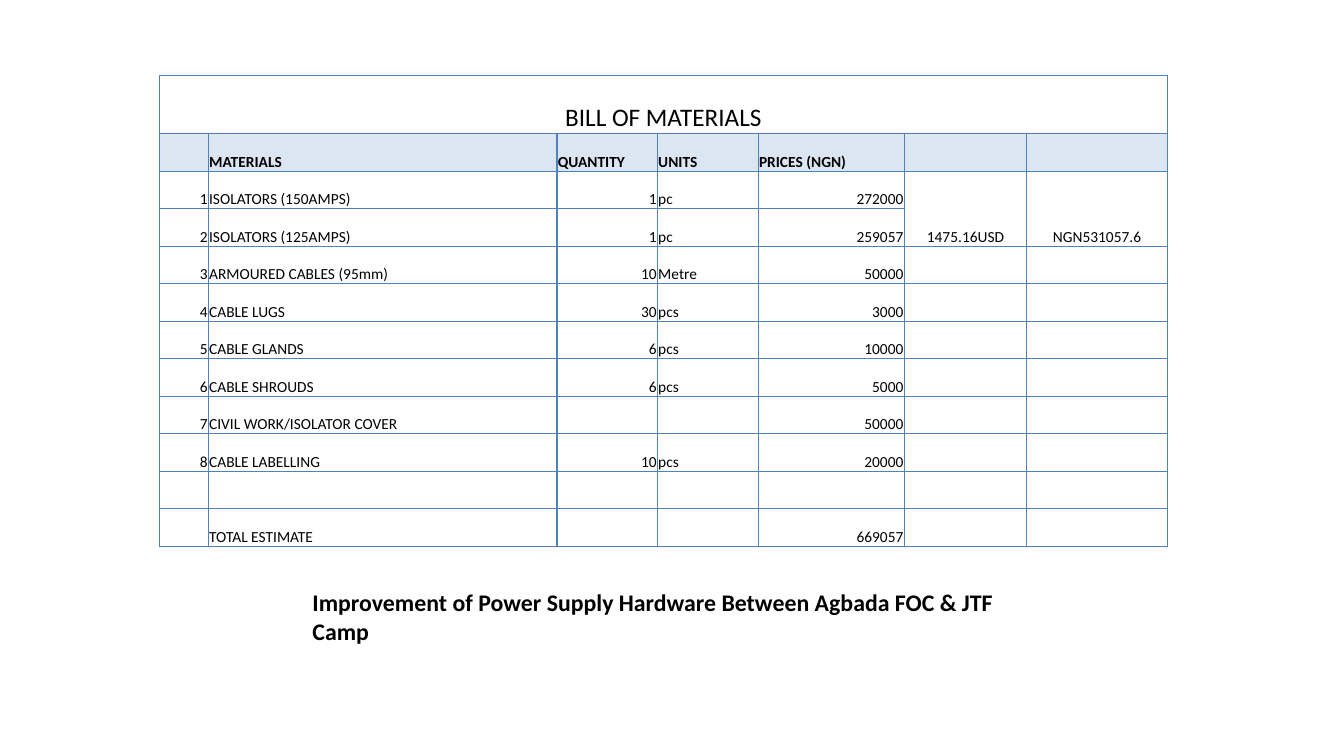
"""Build a bill of materials slide with a priced table and a title below it."""
from dataclasses import dataclass

from lxml.etree import SubElement as Sub
from pptx import Presentation
from pptx.dml.color import RGBColor as Rgb
from pptx.enum.text import MSO_ANCHOR as Anchor, MSO_AUTO_SIZE as Fit, PP_ALIGN as Align
from pptx.oxml.ns import qn
from pptx.util import Cm, Pt


@dataclass(frozen=True)
class Theme:
    font: str = "Calibri"
    ink: str = "000000"
    head: str = "DCE6F2"
    rule: str = "4F81BD"
    title: int = 17
    banner: int = 18
    body: int = 11


theme = Theme()


def write(frame, text, size, bold=False, align=Align.LEFT):
    para = frame.paragraphs[0]
    para.alignment = align
    run = para.add_run()
    run.text = text
    font = run.font
    font.name, font.size, font.bold = theme.font, Pt(size), bold
    font.color.rgb = Rgb.from_string(theme.ink)


def border(cell):
    props = cell._tc.get_or_add_tcPr()
    for side in ("lnL", "lnR", "lnT", "lnB"):
        line = Sub(props, qn(f"a:{side}"), w=str(Pt(1)))
        fill = Sub(line, qn("a:solidFill"))
        Sub(fill, qn("a:srgbClr"), val=theme.rule)


deck = Presentation()
deck.slide_width, deck.slide_height = Cm(33.87), Cm(19.05)
slide = deck.slides.add_slide(deck.slide_layouts[5])

title = slide.shapes.title
title.left, title.top, title.width, title.height = Cm(7.62), Cm(14.81), Cm(19.18), Cm(1.57)
frame = title.text_frame
frame.auto_size = Fit.NONE
frame.word_wrap = True
frame.vertical_anchor = Anchor.BOTTOM
write(frame, "Improvement of Power Supply Hardware Between Agbada FOC & JTF Camp",
      theme.title, bold=True)

items = [
    ("ISOLATORS (150AMPS)", "1", "pc", "272000", "1475.16USD", "NGN531057.6"),
    ("ISOLATORS (125AMPS)", "1", "pc", "259057", "", ""),
    ("ARMOURED CABLES (95mm)", "10", "Metre", "50000", "", ""),
    ("CABLE LUGS", "30", "pcs", "3000", "", ""),
    ("CABLE GLANDS", "6", "pcs", "10000", "", ""),
    ("CABLE SHROUDS", "6", "pcs", "5000", "", ""),
    ("CIVIL WORK/ISOLATOR COVER", "", "", "50000", "", ""),
    ("CABLE LABELLING", "10", "pcs", "20000", "", ""),
]
rows = [
    ("BILL OF MATERIALS", "", "", "", "", "", ""),
    ("", "MATERIALS", "QUANTITY", "UNITS", "PRICES (NGN)", "", ""),
    *[(str(num), *item) for num, item in enumerate(items, 1)],
    ("",) * 7,
    ("", "TOTAL ESTIMATE", "", "", "669057", "", ""),
]
widths = [1.23, 8.79, 2.53, 2.54, 3.68, 3.09, 3.54]
heights = [1.47] + [0.945] * (len(rows) - 1)
aligns = [Align.RIGHT, Align.LEFT, Align.RIGHT, Align.LEFT, Align.RIGHT,
          Align.CENTER, Align.CENTER]

bill = slide.shapes.add_table(len(rows), len(widths), Cm(4.02), Cm(1.9),
                              Cm(sum(widths)), Cm(sum(heights))).table
bill.first_row = bill.horz_banding = False
for col, width in zip(bill.columns, widths):
    col.width = Cm(width)
for row, height in zip(bill.rows, heights):
    row.height = Cm(height)

for r, row in enumerate(rows):
    for c, text in enumerate(row):
        cell = bill.cell(r, c)
        cell.margin_left = cell.margin_right = cell.margin_top = Cm(0.02)
        cell.margin_bottom = 0
        cell.vertical_anchor = Anchor.BOTTOM
        border(cell)
        if r == 1:
            cell.fill.solid()
            cell.fill.fore_color.rgb = Rgb.from_string(theme.head)
        else:
            cell.fill.background()
        if text:
            align = (Align.CENTER, Align.LEFT)[r] if r < 2 else aligns[c]
            size = theme.body if r else theme.banner
            write(cell.text_frame, text, size, bold=r == 1, align=align)

bill.cell(0, 0).merge(bill.cell(0, 6))
for c in (5, 6):
    bill.cell(2, c).merge(bill.cell(3, c))

deck.save("out.pptx")
